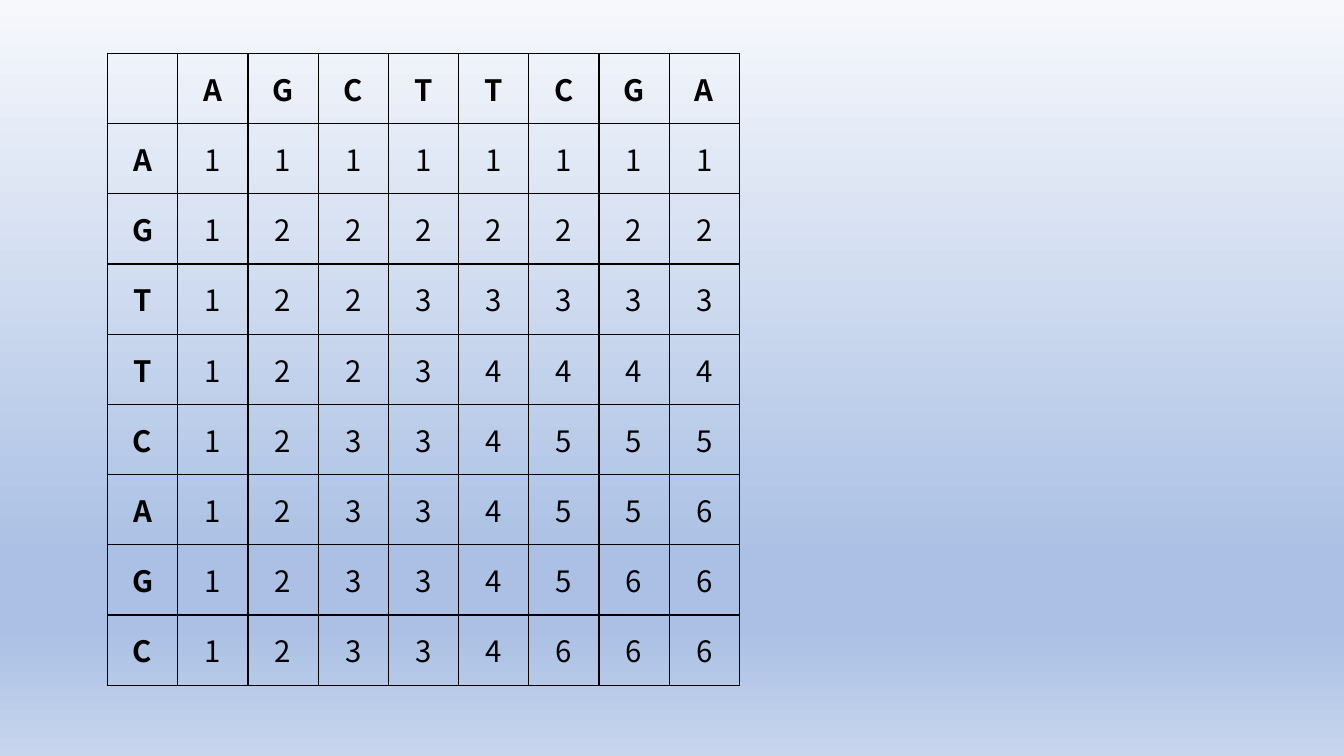
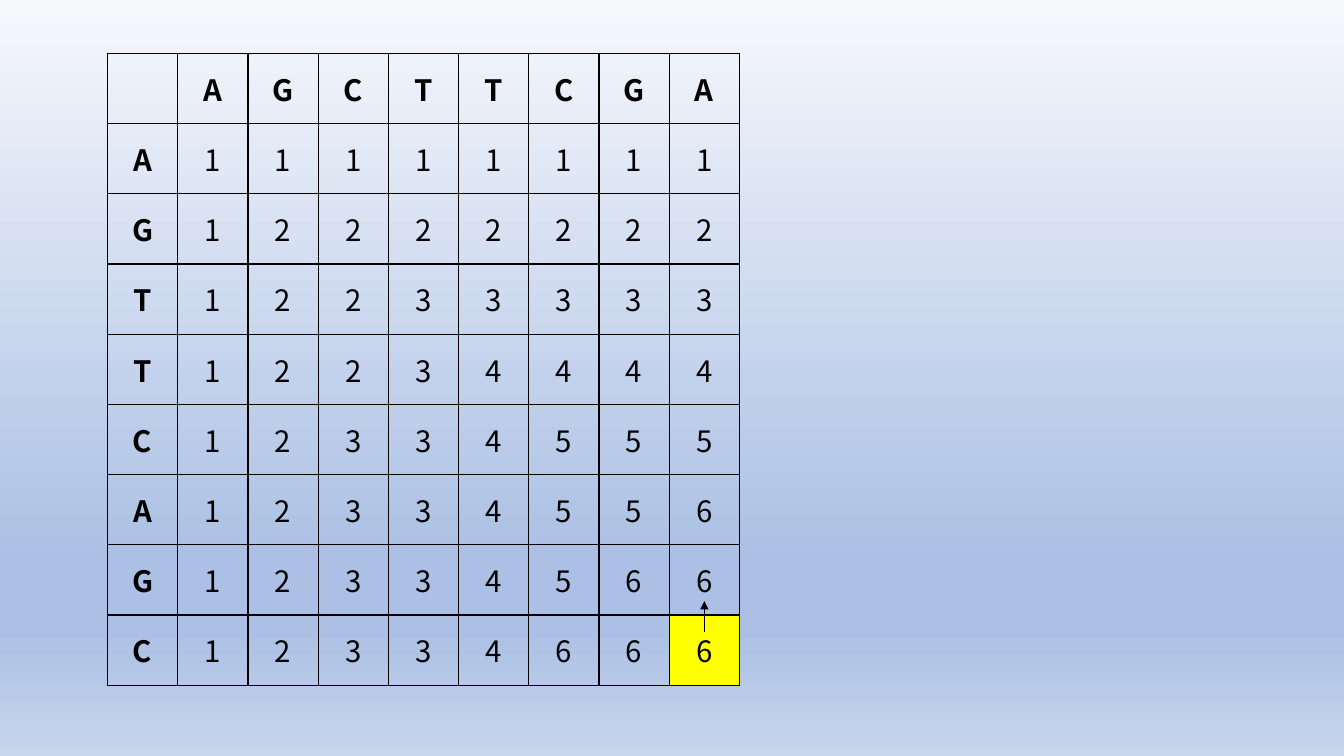
"""Builds two slides of a subsequence length table, the second with its first traceback step."""
import pptx
import pptx.dml.color
import pptx.enum.shapes
import pptx.enum.text
import pptx.oxml
import pptx.oxml.ns
import pptx.util
from dataclasses import dataclass

Pt = pptx.util.Pt

COLUMN_LETTERS = "AGCTTCGA"
LENGTHS = [
    ("A", "11111111"),
    ("G", "12222222"),
    ("T", "12233333"),
    ("T", "12234444"),
    ("C", "12334555"),
    ("A", "12334556"),
    ("G", "12334566"),
    ("C", "12334666"),
]
ROWS = [["", *COLUMN_LETTERS]] + [[letter, *values] for letter, values in LENGTHS]
UPWARD_STEPS = [[], [(8, 8)]]


@dataclass(frozen=True)
class Theme:
    font: str = "Noto Sans CJK SC"
    text_size: float = 21
    ink: str = "000000"
    highlight: str = "FFFF00"
    border: float = 1
    arrow_line: float = 0.5
    gradient: tuple = ((0, "F6F8FC"), (74, "ABC0E4"), (83, "ABC0E4"), (100, "C7D5ED"))


THEME = Theme()
SLIDE_WIDTH, SLIDE_HEIGHT = 960, 540
LEFT, TOP, CELL = 76.8, 38.1, 50.16
CELL_INSET_X, CELL_INSET_Y = 8.4, 4.2
ARROW_BELOW, ARROW_ABOVE = 12, 10


def rgb(value):
    return pptx.dml.color.RGBColor.from_string(value)


def add_xml(parent, tag, **attributes):
    child = pptx.oxml.ns.qn(tag)
    element = parent.makeelement(child, attributes)
    parent.append(element)
    return element


def set_background(master):
    fill = master.background.fill
    fill.gradient()
    fill.gradient_angle = 270
    stops = master.element.find(".//" + pptx.oxml.ns.qn("a:gsLst"))
    for stop in list(stops):
        stops.remove(stop)
    for position, color in THEME.gradient:
        stop = add_xml(stops, "a:gs", pos=str(position * 1000))
        add_xml(stop, "a:srgbClr", val=color)


def set_borders(cell):
    properties = cell._tc.get_or_add_tcPr()
    for index, side in enumerate(("a:lnL", "a:lnR", "a:lnT", "a:lnB")):
        line = add_xml(properties, side, w=str(Pt(THEME.border)))
        add_xml(add_xml(line, "a:solidFill"), "a:srgbClr", val=THEME.ink)
        properties.insert(index, line)


def fill_cell(cell, text, bold, highlighted):
    cell.margin_left = cell.margin_right = Pt(CELL_INSET_X)
    cell.margin_top = cell.margin_bottom = Pt(CELL_INSET_Y)
    cell.vertical_anchor = pptx.enum.text.MSO_ANCHOR.MIDDLE
    if highlighted:
        cell.fill.solid()
        cell.fill.fore_color.rgb = rgb(THEME.highlight)
    else:
        cell.fill.background()
    set_borders(cell)
    cell.text = text
    paragraph = cell.text_frame.paragraphs[0]
    paragraph.alignment = pptx.enum.text.PP_ALIGN.CENTER
    font = paragraph.font
    font.name, font.size, font.bold = THEME.font, Pt(THEME.text_size), bold
    font.color.rgb = rgb(THEME.ink)


def add_length_table(slide, highlighted_cells):
    size = len(ROWS)
    side = Pt(CELL * size)
    table = slide.shapes.add_table(size, size, Pt(LEFT), Pt(TOP), side, side).table
    table.first_row = table.horz_banding = False
    for band in (*table.columns,):
        band.width = Pt(CELL)
    for band in table.rows:
        band.height = Pt(CELL)
    for row, values in enumerate(ROWS):
        for column, text in enumerate(values):
            is_header = row == 0 or column == 0
            fill_cell(table.cell(row, column), text, is_header, (row, column) in highlighted_cells)


def add_upward_arrow(slide, row, column):
    center = Pt(LEFT + (column + 0.5) * CELL)
    edge = TOP + row * CELL
    arrow = slide.shapes.add_connector(
        pptx.enum.shapes.MSO_CONNECTOR.STRAIGHT,
        center, Pt(edge + ARROW_BELOW), center, Pt(edge - ARROW_ABOVE),
    )
    arrow.line.width = Pt(THEME.arrow_line)
    arrow.line.color.rgb = rgb(THEME.ink)
    add_xml(arrow.line._get_or_add_ln(), "a:tailEnd", type="triangle")
    add_xml(arrow._element.spPr, "a:effectLst")


def main():
    presentation = pptx.Presentation()
    presentation.slide_width, presentation.slide_height = Pt(SLIDE_WIDTH), Pt(SLIDE_HEIGHT)
    set_background(presentation.slide_master)
    for steps in UPWARD_STEPS:
        slide = presentation.slides.add_slide(presentation.slide_layouts[6])
        add_length_table(slide, steps)
        for row, column in steps:
            add_upward_arrow(slide, row, column)
    presentation.save("out.pptx")


if __name__ == "__main__":
    main()
